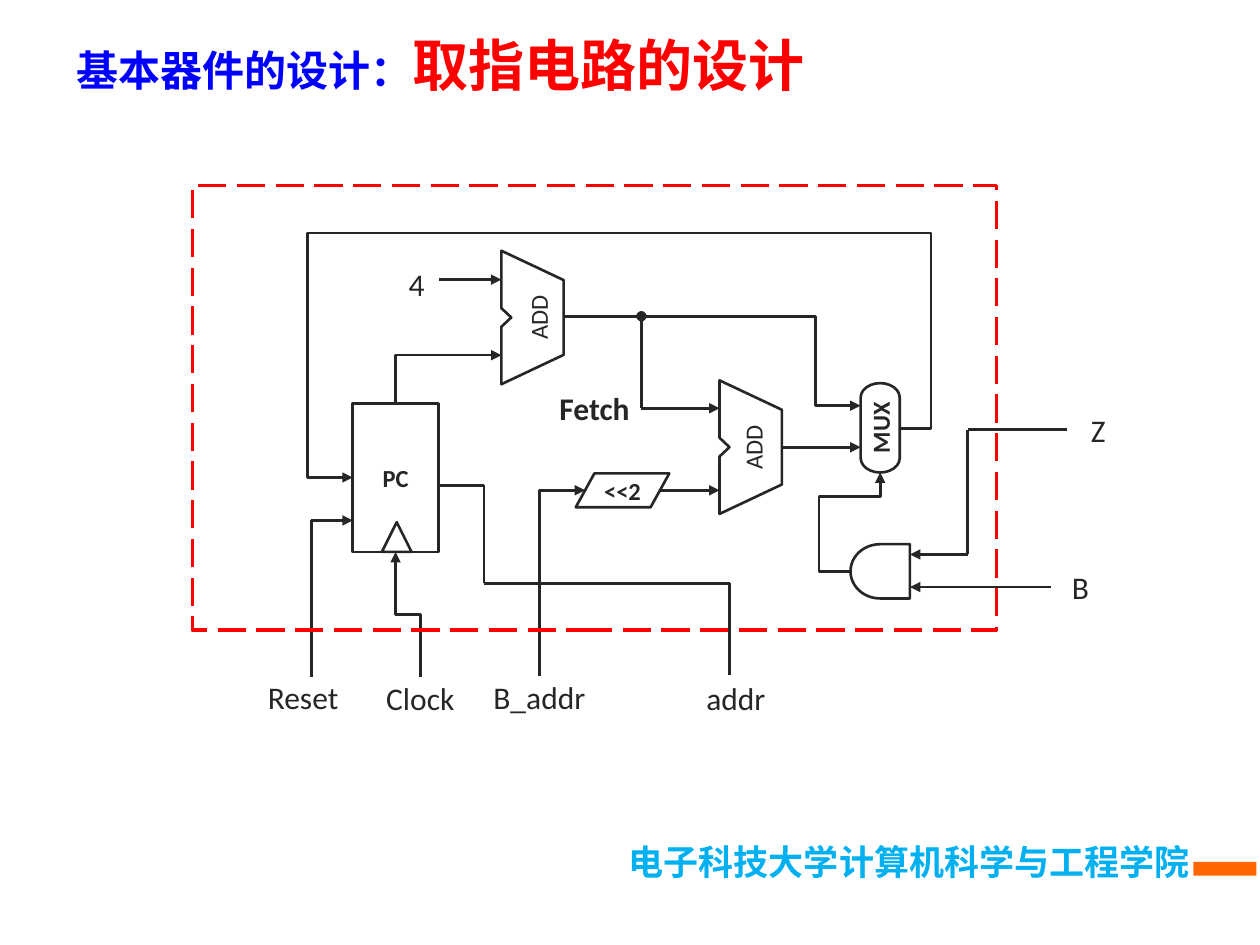
from dataclasses import dataclass

from lxml import etree
from pptx import Presentation
from pptx.dml.color import RGBColor
from pptx.enum.dml import MSO_LINE
from pptx.enum.shapes import MSO_CONNECTOR, MSO_SHAPE
from pptx.enum.text import MSO_ANCHOR, PP_ALIGN
from pptx.oxml.ns import qn
from pptx.util import Pt

RECTANGLE = MSO_SHAPE.RECTANGLE
PARALLELOGRAM = MSO_SHAPE.FLOWCHART_DATA
TERMINATOR = MSO_SHAPE.FLOWCHART_TERMINATOR
DELAY = MSO_SHAPE.FLOWCHART_DELAY
TRIANGLE = MSO_SHAPE.FLOWCHART_EXTRACT
STRAIGHT, ELBOW = MSO_CONNECTOR.STRAIGHT, MSO_CONNECTOR.ELBOW
LONG_DASH = MSO_LINE.LONG_DASH
MIDDLE, TOP = MSO_ANCHOR.MIDDLE, MSO_ANCHOR.TOP
LEFT, CENTER, RIGHT = PP_ALIGN.LEFT, PP_ALIGN.CENTER, PP_ALIGN.RIGHT


@dataclass(frozen=True)
class Theme:
    ink: str = "262626"
    blue: str = "0000FF"
    red: str = "FF0000"
    sky: str = "00B0F0"
    orange: str = "FF6600"
    latin: str = "Calibri"
    chinese: str = "Noto Sans CJK SC"
    heading: str = "Noto Sans CJK JP"
    part_size: float = 14
    signal_size: float = 18
    footer_size: float = 20
    topic_size: float = 24
    title_size: float = 32
    wire_width: float = 1.5
    frame_width: float = 2


@dataclass(frozen=True)
class Box:
    left: float
    top: float
    width: float
    height: float

    def inner(self, left, top, width, height):
        return Box(self.left + left, self.top + top, width, height)

    def point(self, x, y):
        return self.left + x, self.top + y

    def lengths(self):
        return [Pt(v) for v in (self.left, self.top, self.width, self.height)]


THEME = Theme()


def write(shape, text, size=THEME.part_size, color=THEME.ink, font=THEME.latin,
          bold=False, align=CENTER, anchor=MIDDLE, inset=(0, 0)):
    frame = shape.text_frame
    frame.word_wrap = True
    frame.vertical_anchor = anchor
    frame.margin_left = frame.margin_right = Pt(inset[0])
    frame.margin_top = frame.margin_bottom = Pt(inset[1])
    paragraph = frame.paragraphs[0]
    paragraph.alignment = align
    run = paragraph.add_run()
    run.text = text
    run.font.size = Pt(size)
    run.font.bold = bold
    run.font.name = font
    run.font.color.rgb = RGBColor.from_string(color)
    east_asian = etree.SubElement(run.font._element, qn("a:ea"))
    east_asian.set("typeface", font)


def text_box(slide, box):
    return slide.shapes.add_textbox(*box.lengths())


def outline(shape, color=THEME.ink, width=THEME.wire_width):
    shape.shadow.inherit = False
    shape.fill.background()
    shape.line.color.rgb = RGBColor.from_string(color)
    shape.line.width = Pt(width)
    return shape


def add_part(slide, kind, box):
    return outline(slide.shapes.add_shape(kind, *box.lengths()))


def add_adder(slide, box, label_center):
    corners = [(0, 0), (1, 0.22), (1, 0.78), (0, 1), (0, 0.57), (0.16, 0.5), (0, 0.43)]
    points = [tuple(Pt(v) for v in box.point(x * box.width, y * box.height))
              for x, y in corners]
    builder = slide.shapes.build_freeform(*points[0], scale=1.0)
    builder.add_line_segments(points[1:], close=True)
    outline(builder.convert_to_shape())
    width, height = 55, 28
    label = text_box(slide, box.inner(label_center - width / 2,
                                      (box.height - height) / 2, width, height))
    label.rotation = 270
    write(label, "ADD", inset=(7.2, 3.6))


def set_bends(connector, points, vertical):
    (start_x, start_y), (end_x, end_y) = points[0], points[-1]
    properties = connector._element.spPr
    if vertical:
        properties.find(qn("a:xfrm")).set("rot", "5400000")
    geometry = properties.find(qn("a:prstGeom"))
    segments = len(points) - 1
    geometry.set("prst", f"bentConnector{segments}")
    guides = geometry.find(qn("a:avLst"))
    for index, (x, y) in enumerate(points[1:segments - 1]):
        along_x = (index % 2 == 0) != vertical
        ratio = (x - start_x) / (end_x - start_x) if along_x else (y - start_y) / (end_y - start_y)
        guide = etree.SubElement(guides, qn("a:gd"))
        guide.set("name", f"adj{index + 1}")
        guide.set("fmla", f"val {round(ratio * 100000)}")


def add_wire(slide, box, points, head=None, tail=None):
    points = [box.point(*point) for point in points]
    (start_x, start_y), (end_x, end_y) = points[0], points[-1]
    bent = len(points) > 2
    vertical = bent and points[0][0] == points[1][0]
    if vertical:
        middle_x, middle_y = (start_x + end_x) / 2, (start_y + end_y) / 2
        half_x, half_y = (end_y - start_y) / 2, (start_x - end_x) / 2
        start_x, end_x = middle_x - half_x, middle_x + half_x
        start_y, end_y = middle_y - half_y, middle_y + half_y
    connector = slide.shapes.add_connector(
        ELBOW if bent else STRAIGHT, Pt(start_x), Pt(start_y), Pt(end_x), Pt(end_y))
    connector.line.color.rgb = RGBColor.from_string(THEME.ink)
    connector.line.width = Pt(THEME.wire_width)
    if bent:
        set_bends(connector, points, vertical)
    line = connector.line._get_or_add_ln()
    for tag, kind in (("a:headEnd", head), ("a:tailEnd", tail)):
        if kind:
            etree.SubElement(line, qn(tag)).set("type", kind)
    etree.SubElement(connector._element.spPr, qn("a:effectLst"))


def draw_parts(slide, box):
    write(add_part(slide, RECTANGLE, box.inner(91.6, 124.4, 49, 85)), "PC", bold=True)
    add_part(slide, TRIANGLE, box.inner(108.2, 192.4, 17, 17))
    add_adder(slide, box.inner(176.5, 37.3, 35.6, 76.3), 21)
    add_adder(slide, box.inner(301.2, 111.4, 35.6, 76.3), 19)
    write(add_part(slide, PARALLELOGRAM, box.inner(219, 164.5, 53.5, 19.4)), "<<2", bold=True)
    multiplexer = add_part(slide, TERMINATOR, box.inner(367.4, 127.3, 51.1, 22.3))
    multiplexer.rotation = 270
    write(multiplexer, "MUX", bold=True)
    gate = add_part(slide, DELAY, box.inner(376, 205, 34, 31))
    gate._element.spPr.find(qn("a:xfrm")).set("flipH", "1")


def draw_wires(slide, box):
    arrows = [
        [(140.6, 53.8), (176.5, 53.8)],
        [(116.1, 124.4), (116.1, 97), (176.5, 97)],
        [(212, 74.7), (356, 74.7), (356, 125.8), (381.8, 125.8)],
        [(256.5, 127.3), (301.2, 127.3)],
        [(336.8, 149.6), (381.8, 149.6)],
        [(404.2, 138.8), (422, 138.8), (422, 27.2), (65.7, 27.2), (65.7, 166.9), (91.6, 166.9)],
        [(198.2, 280.6), (198.2, 174.2), (224.4, 174.2)],
        [(267.2, 174.2), (301.2, 174.2)],
        [(376, 220.5), (358, 220.5), (358, 177.7), (393, 177.7), (393, 164)],
        [(443, 210.8), (410, 210.8)],
        [(490.5, 229.5), (410, 229.5)],
        [(68, 191.4), (91.6, 191.4)],
        [(130.5, 281), (130.5, 245.2), (116.1, 245.2), (116.1, 209.4)],
    ]
    for points in arrows:
        add_wire(slide, box, points, tail="triangle")
    add_wire(slide, box, [(256.5, 74.7), (256.5, 127.3)], head="oval")
    plain_routes = [
        [(499.8, 139.5), (443, 139.5), (443, 210.8)],
        [(68, 191.4), (68, 280.6)],
        [(140.6, 171.4), (166.5, 171.4), (166.5, 227.4), (306.9, 227.4), (306.9, 280)],
    ]
    for route in plain_routes:
        for segment in zip(route, route[1:]):
            add_wire(slide, box, segment)


def draw_circuit(slide, box):
    draw_parts(slide, box)
    draw_wires(slide, box)
    frame = outline(slide.shapes.add_shape(RECTANGLE, *box.lengths()),
                    THEME.red, THEME.frame_width)
    frame.line.dash_style = LONG_DASH
    write(frame, "Fetch", size=THEME.signal_size, bold=True)
    signals = [("4", 108.2, 45.2, 39.6), ("Z", 505, 128.7, 25.2), ("B", 493.4, 218, 28),
               ("Reset", 34.7, 281, 57), ("Clock", 101.7, 281.4, 57),
               ("B_addr", 166.5, 281, 63.4), ("addr", 278.8, 281.4, 63.4)]
    for name, left, top, width in signals:
        write(text_box(slide, box.inner(left, top, width, 22.5)), name, size=THEME.signal_size)


def draw_title(slide, box):
    title = text_box(slide, box)
    style = dict(bold=True, align=LEFT, inset=(7.2, 3.6))
    write(title, "基本器件的设计：", size=THEME.topic_size, color=THEME.blue,
          font=THEME.chinese, **style)
    write(title, "取指电路的设计", size=THEME.title_size, color=THEME.red,
          font=THEME.heading, **style)


def draw_footer(slide, box):
    write(text_box(slide, box.inner(0, 0, 628, box.height)), "电子科技大学计算机科学与工程学院",
          size=THEME.footer_size, color=THEME.sky, font=THEME.chinese, bold=True,
          align=RIGHT, anchor=TOP, inset=(7.2, 3.6))
    bar = slide.shapes.add_shape(RECTANGLE, *box.inner(box.width - 36, 16, 36, 8).lengths())
    bar.shadow.inherit = False
    bar.fill.solid()
    bar.fill.fore_color.rgb = RGBColor.from_string(THEME.orange)
    bar.line.fill.background()


def main():
    presentation = Presentation()
    presentation.slide_width, presentation.slide_height = Pt(720), Pt(540)
    slide = presentation.slides.add_slide(presentation.slide_layouts[6])
    draw_footer(slide, Box(59, 476.5, 659, 32))
    draw_title(slide, Box(36.7, 9.4, 633, 54))
    draw_circuit(slide, Box(110, 106, 459.5, 254))
    presentation.save("out.pptx")


if __name__ == "__main__":
    main()
